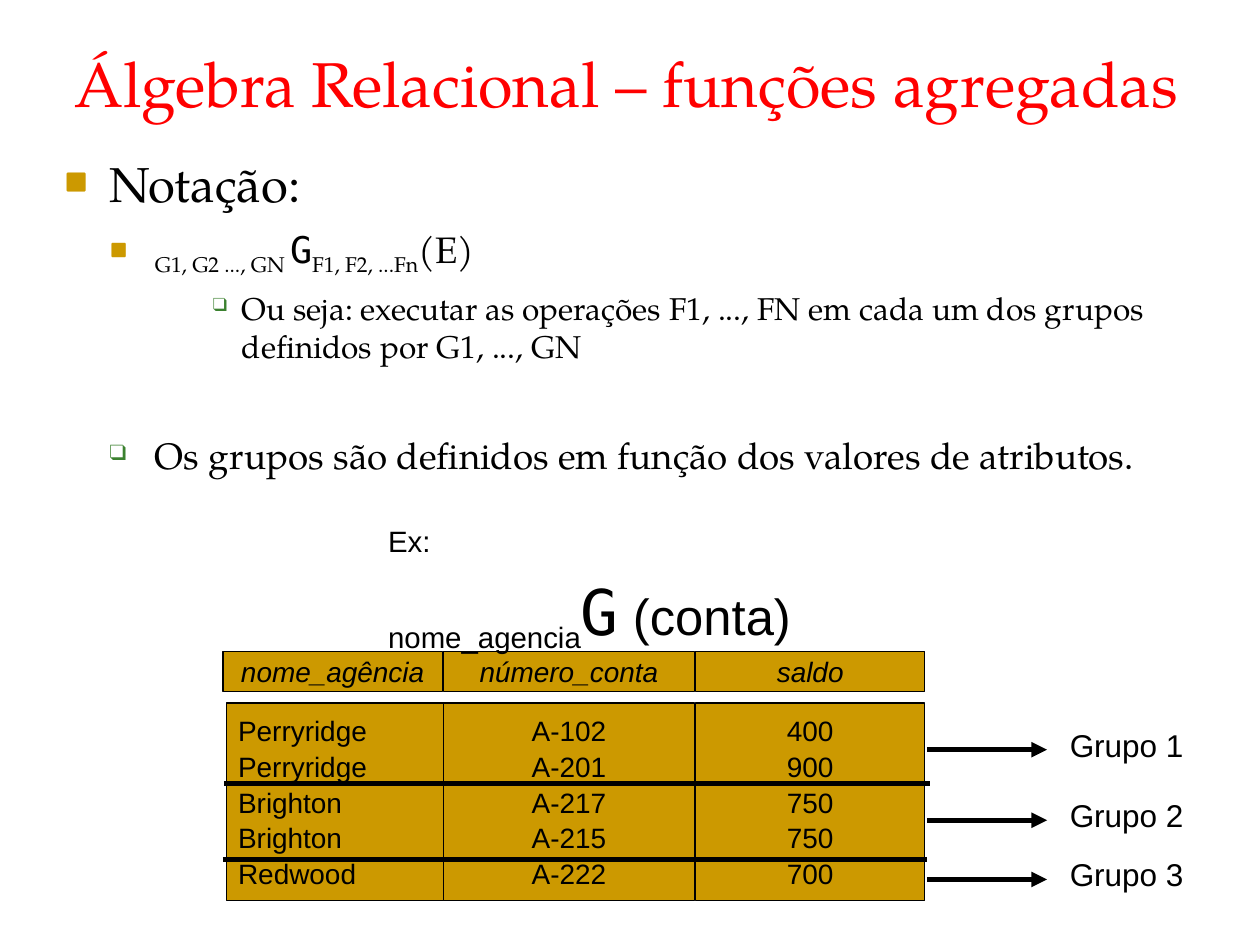
from lxml.etree import SubElement as Sub
from pptx import Presentation
from pptx.dml.color import RGBColor
from pptx.enum.shapes import MSO_CONNECTOR as Link, MSO_SHAPE as Form
from pptx.enum.text import MSO_ANCHOR as Anchor, PP_ALIGN as Align
from pptx.oxml.ns import qn
from pptx.util import Inches, Pt

RED = RGBColor(0xFF, 0x00, 0x00)
BLACK = RGBColor(0x00, 0x00, 0x00)
GOLD = RGBColor(0xCC, 0x99, 0x00)
GREEN = RGBColor(0x3B, 0x81, 0x2F)
SERIF, SANS, MONO = "TeX Gyre Pagella", "Arial", "DejaVu Sans Mono"

deck = Presentation()
deck.slide_width, deck.slide_height = Inches(10), Inches(7.5)
slide = deck.slides.add_slide(deck.slide_layouts[6])
shapes = slide.shapes


def write(frame, paras, anchor=Anchor.TOP):
    """Each paragraph: (format, bullet, runs); each run: (text, size, font, colour, extra)."""
    look = dict(word_wrap=True, vertical_anchor=anchor,
                margin_left=Inches(0.09), margin_right=Inches(0.09),
                margin_top=Inches(0.05), margin_bottom=Inches(0.05))
    for key, val in look.items():
        setattr(frame, key, val)
    for n, (form, mark, runs) in enumerate(paras):
        para = frame.add_paragraph() if n else frame.paragraphs[0]
        for key, val in (dict(space_after=Pt(0.6)) | form).items():
            setattr(para, key, val)
        if mark:
            char, tint, scale, left, hang = mark
            props = para._p.get_or_add_pPr()
            props.set("marL", str(Inches(left)))
            props.set("indent", str(-Inches(hang)))
            Sub(Sub(props, qn("a:buClr")), qn("a:srgbClr"), val=str(tint))
            Sub(props, qn("a:buSzPct"), val=str(scale * 1000))
            Sub(props, qn("a:buFont"), typeface=SERIF)
            Sub(props, qn("a:buChar"), char=char)
        for text, size, face, tint, extra in runs:
            run = para.add_run()
            run.text = text
            run.font.color.rgb = tint
            for key, val in dict(size=Pt(size), name=face).items():
                setattr(run.font, key, val)
            for key, val in extra.items():
                run._r.get_or_add_rPr().set(key, val)


def draw(x1, y1, x2, y2, arrow=False):
    line = shapes.add_connector(Link.STRAIGHT, Inches(x1), Inches(y1), Inches(x2), Inches(y2))
    line.line.color.rgb = BLACK
    line.line.width = Pt(3)
    if arrow:
        Sub(line.line._get_or_add_ln(), qn("a:tailEnd"), type="triangle")
    Sub(line._element.spPr, qn("a:effectLst"))


SUB = dict(baseline="-25000")

# Title
title = shapes.add_textbox(Inches(0.5), Inches(0.3), Inches(9), Inches(1.25))
write(title.text_frame,
      [({}, None, [("Álgebra Relacional – funções agregadas", 36, SERIF, RED, {})])])

# Notation
body = shapes.add_textbox(Inches(0.42), Inches(1.17), Inches(8.84), Inches(4))
write(body.text_frame, [
    ({}, ("■", GOLD, 65, 0.36, 0.36), [("Notação:", 28, SERIF, BLACK, {})]),
    (dict(level=1, space_before=Pt(7.4)), ("■", GOLD, 65, 0.72, 0.36), [
        ("G1, G2 ..., GN ", 21, SERIF, BLACK, SUB),
        ("G", 21, MONO, BLACK, {}),
        ("F1, F2, ...Fn", 21, SERIF, BLACK, SUB),
        ("(E)", 21, SERIF, BLACK, {})]),
    (dict(level=2, space_before=Pt(6.4)), ("❑", GREEN, 60, 1.41, 0.23), [
        ("Ou seja: executar as operações F1, ..., FN em cada um dos grupos "
         "definidos por G1, ..., GN", 18, SERIF, BLACK, {})]),
    (dict(level=1, space_before=Pt(38.7)), ("❑", GREEN, 60, 0.72, 0.36), [
        ("Os grupos são definidos em função dos valores de atributos.", 21, SERIF, BLACK, {})]),
])

# Account table: header boxes above data boxes
cols = [
    (1.77, 1.8, 1.74, Align.LEFT, "nome_agência",
     ["Perryridge", "Perryridge", "Brighton", "Brighton", "Redwood"]),
    (3.52, 3.52, 1.99, Align.CENTER, "número_conta",
     ["A-102", "A-201", "A-217", "A-215", "A-222"]),
    (5.52, 5.52, 1.82, Align.CENTER, "saldo", ["400", "900", "750", "750", "700"]),
]
for head, left, width, align, name, vals in cols:
    for x, y, high, side, rows, extra in (
            (head, 5.17, 0.32, Align.CENTER, [name], dict(i="1")),
            (left, 5.58, 1.57, align, vals, {})):
        box = shapes.add_shape(Form.RECTANGLE, Inches(x), Inches(y), Inches(width), Inches(high))
        box.shadow.inherit = False
        box.fill.solid()
        box.fill.fore_color.rgb = GOLD
        box.line.color.rgb = BLACK
        box.line.width = Pt(0.75)
        write(box.text_frame,
              [(dict(alignment=side, space_before=Pt(0.6 if n else 0)), None,
                [(text, 16, SANS, BLACK, extra)]) for n, text in enumerate(rows)],
              anchor=Anchor.MIDDLE)

# Example expression
sample = shapes.add_textbox(Inches(2.99), Inches(3.83), Inches(3.44), Inches(1.41))
write(sample.text_frame, [
    ({}, None, [("Ex:", 29, SANS, BLACK, SUB)]),
    (dict(space_before=Pt(7.9)), None, [
        ("nome_agencia", 29, SANS, BLACK, SUB),
        ("G", 36, MONO, BLACK, {}),
        (" (conta)", 29, SANS, BLACK, {})]),
])

# Lines between the groups
for x1, x2, y in ((1.78, 7.38, 6.22), (1.77, 7.36, 6.82)):
    draw(x1, y, x2, y)

# Group arrows and labels
for n, y in enumerate((5.95, 6.51, 6.98), 1):
    draw(7.36, y, 8.31, y, arrow=True)
    label = shapes.add_textbox(Inches(8.4), Inches(y - 0.24), Inches(1.15), Inches(0.39))
    write(label.text_frame, [({}, None, [(f"Grupo {n}", 18, SANS, BLACK, {})])])

deck.save("out.pptx")
